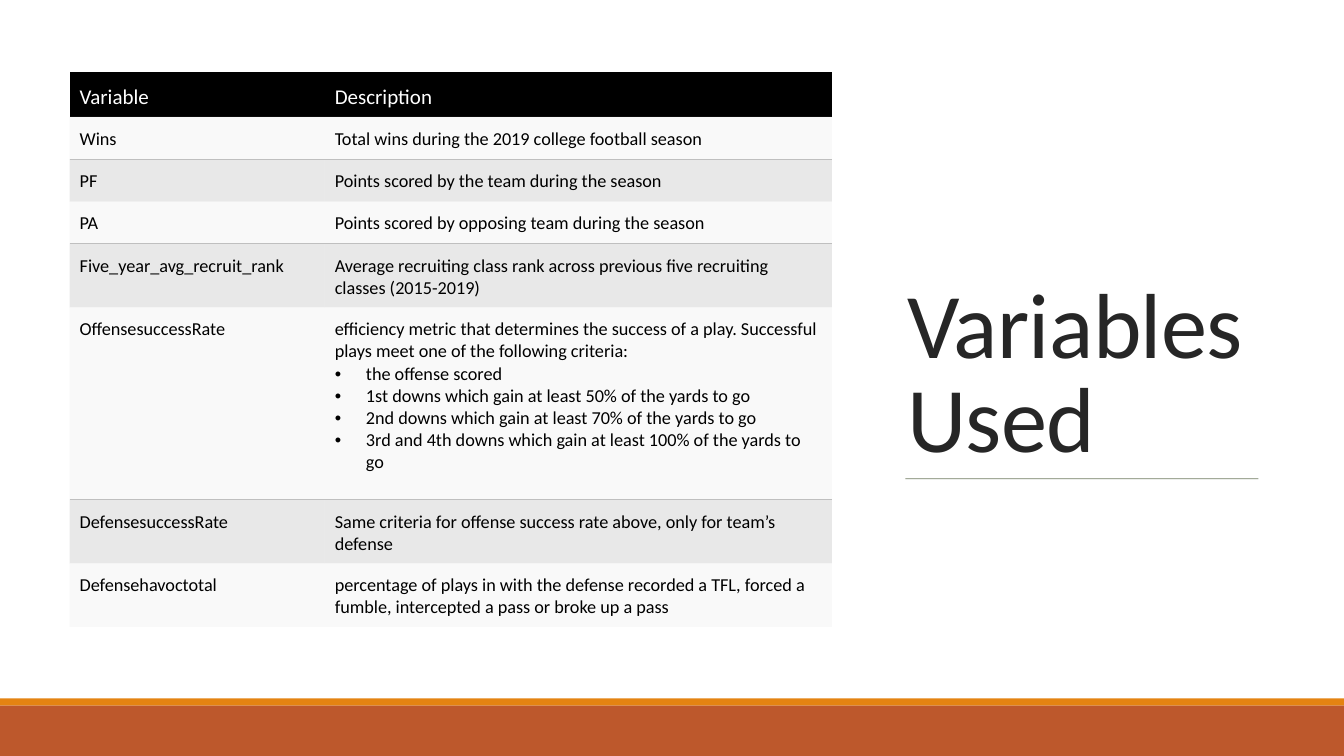
import pptx
import pptx.util
import pptx.enum.shapes
import pptx.enum.text
import pptx.dml.color
import pptx.oxml.ns
import lxml.etree

Inches, Pt = pptx.util.Inches, pptx.util.Pt
ANCHOR = pptx.enum.text.MSO_ANCHOR

TITLE = "Variables Used"
HEADER = ("Variable", ["Description"])
VARIABLES = [
    ("Wins", ["Total wins during the 2019 college football season"]),
    ("PF", ["Points scored by the team during the season"]),
    ("PA", ["Points scored by opposing team during the season"]),
    ("Five_year_avg_recruit_rank",
     ["Average recruiting class rank across previous five recruiting classes (2015-2019)"]),
    ("OffensesuccessRate",
     ["efficiency metric that determines the success of a play. "
      "Successful plays meet one of the following criteria:",
      "the offense scored",
      "1st downs which gain at least 50% of the yards to go",
      "2nd downs which gain at least 70% of the yards to go",
      "3rd and 4th downs which gain at least 100% of the yards to go"]),
    ("DefensesuccessRate",
     ["Same criteria for offense success rate above, only for team’s defense"]),
    ("Defensehavoctotal",
     ["percentage of plays in with the defense recorded a TFL, forced a fumble, "
      "intercepted a pass or broke up a pass"]),
]
COLORS = {"white": "FFFFFF", "black": "000000", "title": "262626", "rule": "637052",
          "orange": "E48312", "rust": "BD582C", "light": "F2F2F2", "gray": "BFBFBF"}
FONT = "Calibri"
WIDTH, HEIGHT = 13.33, 7.5
STRIPE_TOP, FOOTER_TOP = 6.93, 7.0
BANDS = [(0, STRIPE_TOP, "white"), (STRIPE_TOP, FOOTER_TOP, "orange"),
         (FOOTER_TOP, HEIGHT, "rust")]
TABLE_LEFT, TABLE_TOP = 0.69, 0.71
COLUMNS = [2.53, 5.03]
ROWS = [0.45, 0.42, 0.42, 0.42, 0.63, 1.91, 0.63, 0.63]
BULLET_INDENT = 0.31


def rgb(name):
    return pptx.dml.color.RGBColor.from_string(COLORS[name])


def add_child(parent, tag, **attributes):
    return lxml.etree.SubElement(parent, pptx.oxml.ns.qn(tag), attributes)


def set_alpha(properties, percent):
    color = next(properties.iter(pptx.oxml.ns.qn("a:srgbClr")))
    add_child(color, "a:alpha", val=str(percent * 1000))


def format_run(run, size, color):
    run.font.name, run.font.size = FONT, Pt(size)
    run.font.color.rgb = rgb(color)


def add_bullet(paragraph):
    indent = Inches(BULLET_INDENT)
    properties = paragraph._p.get_or_add_pPr()
    properties.set("marL", str(indent))
    properties.set("indent", str(-indent))
    add_child(properties, "a:buFont", typeface="Arial")
    add_child(properties, "a:buChar", char="•")


def set_borders(cell, ruled_sides):
    properties = cell._tc.get_or_add_tcPr()
    for position, side in enumerate("LRTB"):
        border = add_child(properties, "a:ln" + side, w=str(Pt(1)))
        if side in ruled_sides:
            add_child(add_child(border, "a:solidFill"), "a:srgbClr", val=COLORS["gray"])
        else:
            add_child(border, "a:noFill")
        properties.insert(position, border)


def fill_cell(cell, lines, row):
    cell.margin_left = cell.margin_right = Inches(0.1)
    cell.margin_top, cell.margin_bottom = Inches(0.11), Inches(0.05)
    cell.vertical_anchor = ANCHOR.TOP if row else ANCHOR.MIDDLE
    cell.text_frame.text = "\n".join(lines)
    for index, paragraph in enumerate(cell.text_frame.paragraphs):
        if index:
            add_bullet(paragraph)
        for run in paragraph.runs:
            format_run(run, 13 if row else 15, "black" if row else "white")
            run.font.bold = False

    # Odd rows are light, even rows gray with a rule on top
    shaded = row > 0 and row % 2 == 0
    color, alpha = ("gray", 35) if shaded else ("light", 45) if row else ("black", 100)
    cell.fill.solid()
    cell.fill.fore_color.rgb = rgb(color)
    if alpha < 100:
        set_alpha(cell._tc.tcPr, alpha)
    rule_below = row % 2 == 1 and row < len(ROWS) - 1
    set_borders(cell, "T" if shaded else "B" if rule_below else "")


def add_bands(slide):
    for top, bottom, color in BANDS:
        band = slide.shapes.add_shape(
            pptx.enum.shapes.MSO_SHAPE.RECTANGLE,
            0, Inches(top), Inches(WIDTH), Inches(bottom - top))
        band.shadow.inherit = False
        band.fill.solid()
        band.fill.fore_color.rgb = rgb(color)
        band.line.fill.background()


def add_title(slide):
    box = slide.shapes.add_textbox(Inches(8.9), Inches(0.7), Inches(3.72), Inches(4.03))
    frame = box.text_frame
    frame.word_wrap = True
    frame.vertical_anchor = ANCHOR.BOTTOM
    frame.text = TITLE
    paragraph = frame.paragraphs[0]
    paragraph.line_spacing = 0.85
    run = paragraph.runs[0]
    format_run(run, 66, "title")
    run.font._element.set("spc", "-50")

    # Rule under the title
    rule = slide.shapes.add_connector(
        pptx.enum.shapes.MSO_CONNECTOR.STRAIGHT,
        Inches(8.98), Inches(4.75), Inches(12.48), Inches(4.75))
    rule.line.color.rgb = rgb("rule")
    rule.line.width = Pt(0.5)
    set_alpha(rule._element.spPr, 90)
    add_child(rule._element.spPr, "a:effectLst")


def add_variable_table(slide):
    table = slide.shapes.add_table(
        len(ROWS), len(COLUMNS), Inches(TABLE_LEFT), Inches(TABLE_TOP),
        Inches(sum(COLUMNS)), Inches(sum(ROWS))).table
    for column, width in zip(table.columns, COLUMNS):
        column.width = Inches(width)
    for row, height in zip(table.rows, ROWS):
        row.height = Inches(height)
    for row, (name, description) in enumerate([HEADER] + VARIABLES):
        fill_cell(table.cell(row, 0), [name], row)
        fill_cell(table.cell(row, 1), description, row)


def main():
    presentation = pptx.Presentation()
    presentation.slide_width = Inches(WIDTH)
    presentation.slide_height = Inches(HEIGHT)
    slide = presentation.slides.add_slide(presentation.slide_layouts[6])
    add_bands(slide)
    add_title(slide)
    add_variable_table(slide)
    presentation.save("out.pptx")


if __name__ == "__main__":
    main()
